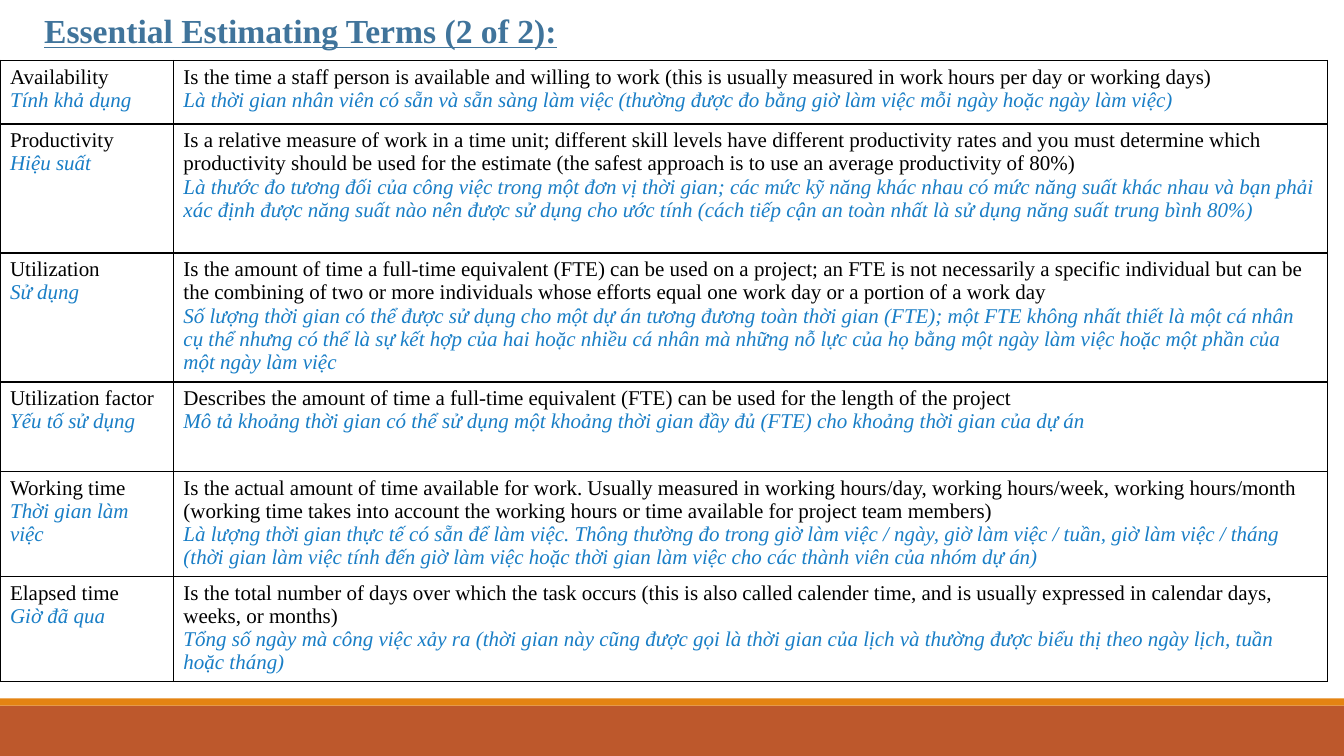
from lxml.etree import SubElement
from pptx import Presentation
from pptx.dml.color import RGBColor
from pptx.enum.shapes import MSO_SHAPE as Shape
from pptx.oxml.ns import qn
from pptx.util import Inches, Pt

COLORS = {
    "title": "40749B",
    "english": "000000",
    "vietnamese": "197EC6",
    "border": "000000",
    "footer": "BD582C",
    "stripe": "E48312",
}
FONT = "Times New Roman"
COLUMN_WIDTHS = [1.72, 11.45]
ROW_HEIGHTS = [0.63, 1.28, 1.28, 0.89, 1.04, 1.04]

# Each row: (term, translated term), (definition, translated definition)
TERMS = [
    (("Availability", "Tính khả dụng"),
     ("Is the time a staff person is available and willing to work (this is usually measured in "
      "work hours per day or working days)",
      "Là thời gian nhân viên có sẵn và sẵn sàng làm việc (thường được đo bằng giờ làm việc mỗi "
      "ngày hoặc ngày làm việc)")),
    (("Productivity", "Hiệu suất"),
     ("Is a relative measure of work in a time unit; different skill levels have different "
      "productivity rates and you must determine which productivity should be used for the "
      "estimate (the safest approach is to use an average productivity of 80%)",
      "Là thước đo tương đối của công việc trong một đơn vị thời gian; các mức kỹ năng khác nhau "
      "có mức năng suất khác nhau và bạn phải xác định được năng suất nào nên được sử dụng cho "
      "ước tính (cách tiếp cận an toàn nhất là sử dụng năng suất trung bình 80%)")),
    (("Utilization", "Sử dụng"),
     ("Is the amount of time a full-time equivalent (FTE) can be used on a project; an FTE is not "
      "necessarily a specific individual but can be the combining of two or more individuals "
      "whose efforts equal one work day or a portion of a work day",
      "Số lượng thời gian có thể được sử dụng cho một dự án tương đương toàn thời gian (FTE); một "
      "FTE không nhất thiết là một cá nhân cụ thể nhưng có thể là sự kết hợp của hai hoặc nhiều "
      "cá nhân mà những nỗ lực của họ bằng một ngày làm việc hoặc một phần của một ngày làm việc")),
    (("Utilization factor", "Yếu tố sử dụng"),
     ("Describes the amount of time a full-time equivalent (FTE) can be used for the length of "
      "the project",
      "Mô tả khoảng thời gian có thể sử dụng một khoảng thời gian đầy đủ (FTE) cho khoảng thời "
      "gian của dự án")),
    (("Working time", "Thời gian làm việc"),
     ("Is the actual amount of time available for work. Usually measured in working hours/day, "
      "working hours/week, working hours/month (working time takes into account the working "
      "hours or time available for project team members)",
      "Là lượng thời gian thực tế có sẵn để làm việc. Thông thường đo trong giờ làm việc / ngày, "
      "giờ làm việc / tuần, giờ làm việc / tháng (thời gian làm việc tính đến giờ làm việc hoặc "
      "thời gian làm việc cho các thành viên của nhóm dự án)")),
    (("Elapsed time", "Giờ đã qua"),
     ("Is the total number of days over which the task occurs (this is also called calender "
      "time, and is usually expressed in calendar days, weeks, or months)",
      "Tổng số ngày mà công việc xảy ra (thời gian này cũng được gọi là thời gian của lịch và "
      "thường được biểu thị theo ngày lịch, tuần hoặc tháng)")),
]


def style_font(font, size, color):
    font.name = FONT
    font.size = Pt(size)
    font.color.rgb = RGBColor.from_string(COLORS[color])


def add_borders(cell):
    properties = cell._tc.get_or_add_tcPr()
    for side in ("a:lnL", "a:lnR", "a:lnT", "a:lnB"):
        line = SubElement(properties, qn(side), w=str(Pt(1)))
        fill = SubElement(line, qn("a:solidFill"))
        SubElement(fill, qn("a:srgbClr"), val=COLORS["border"])


presentation = Presentation()
presentation.slide_width = Inches(13.33)
presentation.slide_height = Inches(7.5)
slide = presentation.slides.add_slide(presentation.slide_layouts[6])

# Footer bars
for name, top, height in (("footer", 7, 0.5), ("stripe", 6.93, 0.07)):
    bar = slide.shapes.add_shape(
        Shape.RECTANGLE, 0, Inches(top), presentation.slide_width, Inches(height))
    bar.shadow.inherit = False
    bar.fill.solid()
    bar.fill.fore_color.rgb = RGBColor.from_string(COLORS[name])
    bar.line.fill.background()

# Table of terms
table = slide.shapes.add_table(
    len(TERMS), len(COLUMN_WIDTHS), 0, Inches(0.6),
    Inches(sum(COLUMN_WIDTHS)), Inches(sum(ROW_HEIGHTS))).table
table.first_row = False
table.horz_banding = False
for column, width in zip(table.columns, COLUMN_WIDTHS):
    column.width = Inches(width)

for row, height, texts in zip(table.rows, ROW_HEIGHTS, TERMS):
    row.height = Inches(height)
    for cell, languages in zip(row.cells, texts):
        add_borders(cell)
        cell.fill.background()
        cell.text_frame.text = "\n".join(languages)
        for paragraph, color in zip(cell.text_frame.paragraphs, ("english", "vietnamese")):
            font = paragraph.runs[0].font
            style_font(font, 15, color)
            font.italic = color == "vietnamese"

# Title
title = slide.shapes.add_textbox(Inches(0.34), Inches(0.02), Inches(6.33), Inches(0.91))
title.text_frame.word_wrap = True
title.text_frame.margin_top = Inches(0.08)
title.text_frame.text = "Essential Estimating Terms (2 of 2):"
title_font = title.text_frame.paragraphs[0].runs[0].font
style_font(title_font, 24, "title")
title_font.bold = True
title_font.underline = True

presentation.save("out.pptx")
